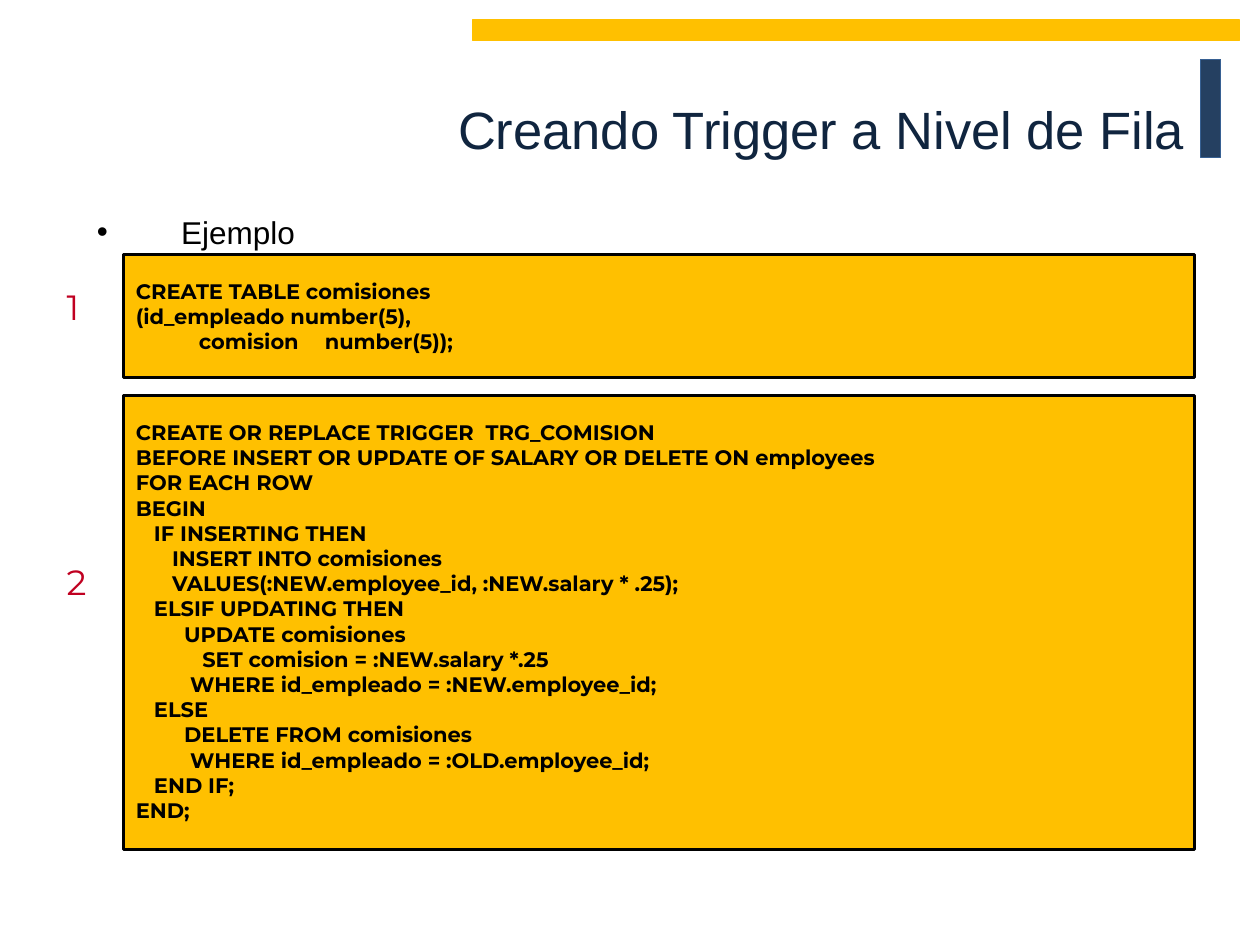
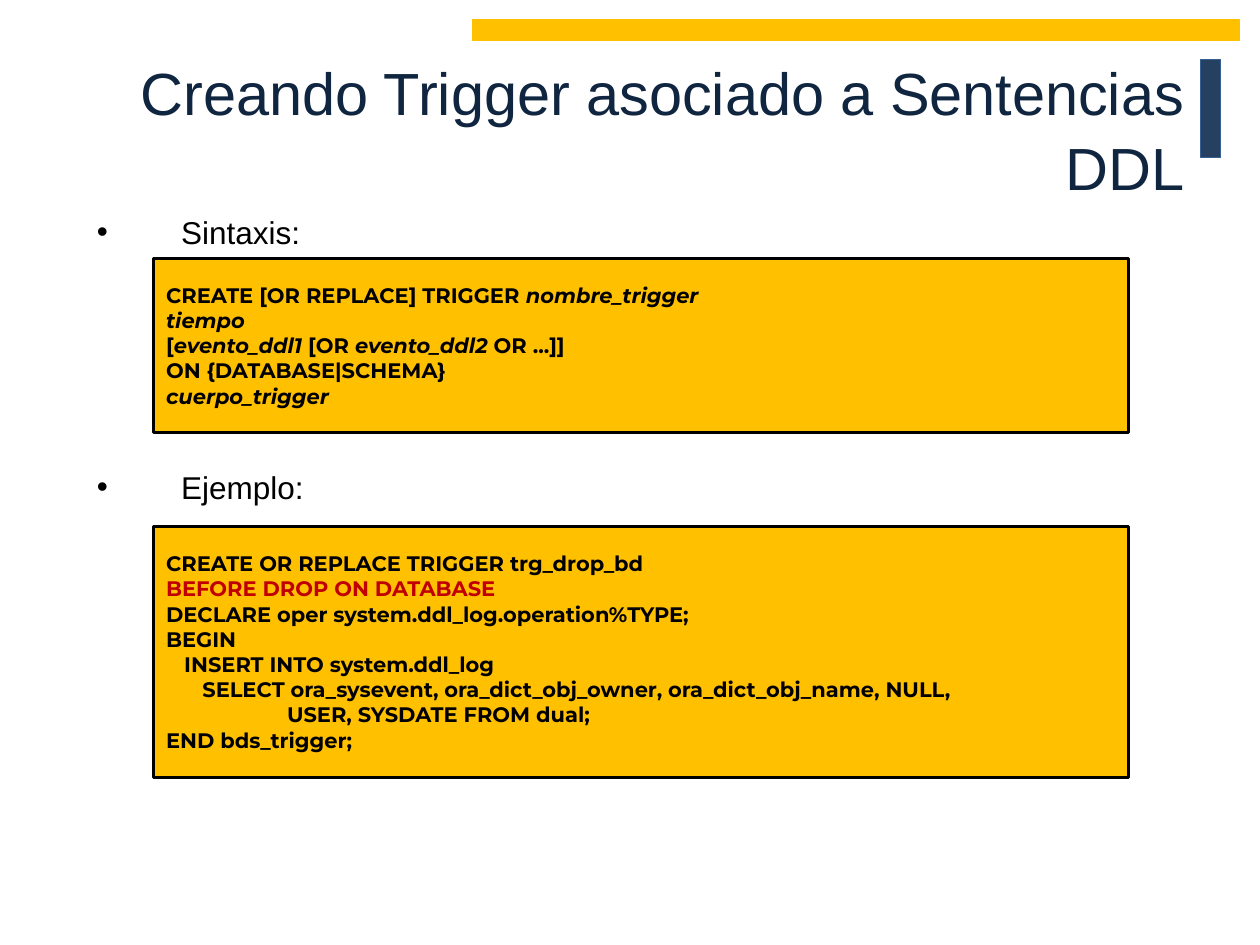
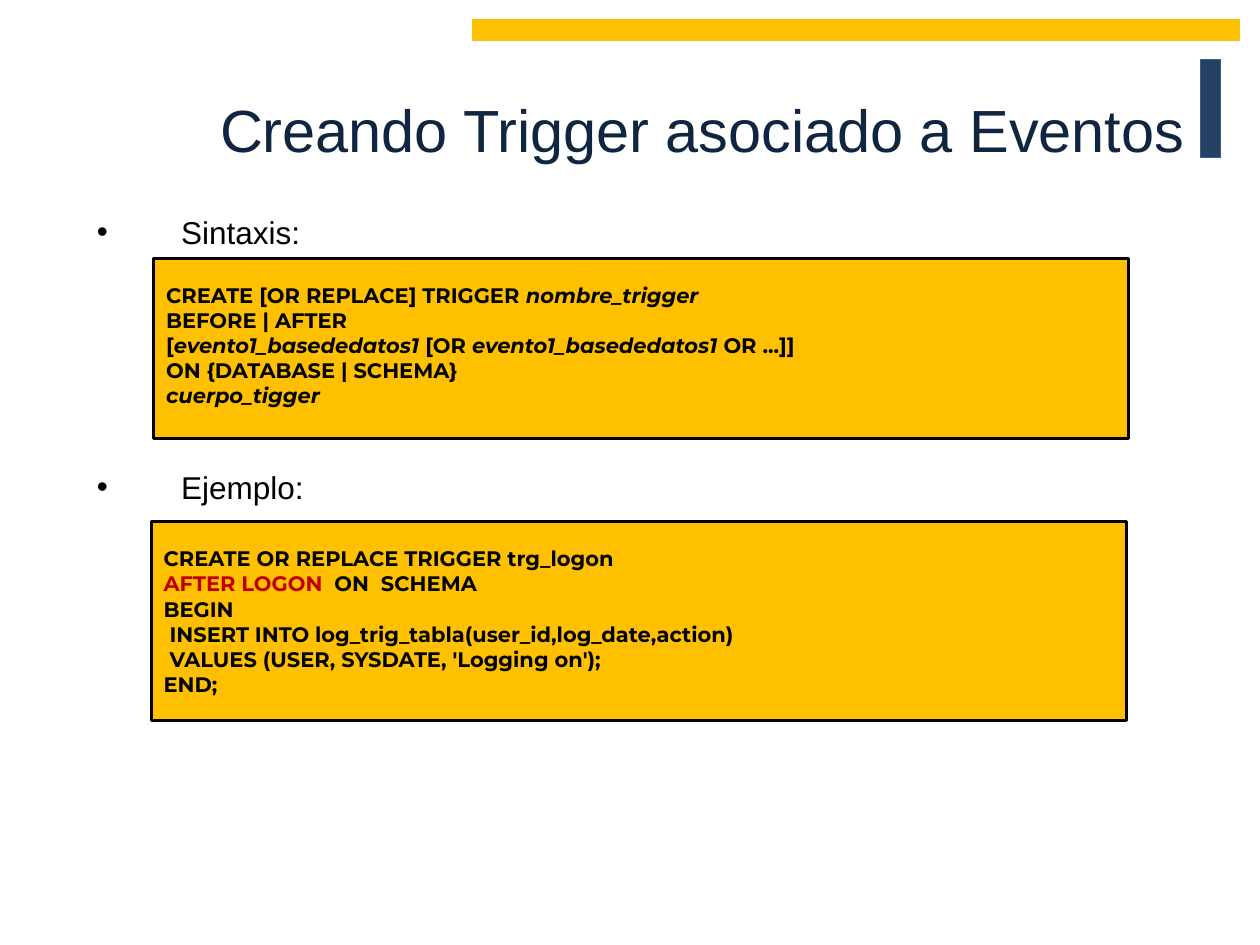
from dataclasses import dataclass
from typing import NamedTuple

from lxml.etree import SubElement
from pptx import Presentation
from pptx.dml.color import RGBColor
from pptx.enum.shapes import MSO_SHAPE
from pptx.enum.text import MSO_ANCHOR, PP_ALIGN
from pptx.oxml.ns import qn
from pptx.util import Emu, Inches, Pt

# Grid: 100 columns by 75 rows
SLIDE_WIDTH, SLIDE_HEIGHT = Inches(10), Inches(7.5)
COLUMN, ROW = SLIDE_WIDTH / 100, SLIDE_HEIGHT / 75

# Colours and fonts
GOLD = RGBColor(0xFF, 0xC0, 0x00)
NAVY = RGBColor(0x25, 0x40, 0x61)
BLUE = RGBColor(0x37, 0x60, 0x92)
TITLE_INK = RGBColor(0x10, 0x25, 0x3F)
BLACK = RGBColor(0x00, 0x00, 0x00)
RED = RGBColor(0xC0, 0x00, 0x00)
CRIMSON = RGBColor(0xC0, 0x00, 0x21)
TEXT_FONT, CODE_FONT = "Arial", "Montserrat"

# Code layout
CODE_TOP = 1.9  # rows above the first line
SPACE_WIDTH = 0.48  # columns per leading space
CODE_TABS = (1, 10.8)  # columns
ITALIC_MARK, RED_MARK = "~", "^"
HANGING = 6.7  # columns between a bullet and its text


class Frame(NamedTuple):
    """Left, top, width and height in columns and rows."""
    left: float
    top: float
    width: float
    height: float

    def lengths(self) -> tuple:
        return (Emu(round(self.left * COLUMN)), Emu(round(self.top * ROW)),
                Emu(round(self.width * COLUMN)), Emu(round(self.height * ROW)))


@dataclass(frozen=True)
class Label:
    text: str
    frame: Frame
    font: str = TEXT_FONT
    size: float = 18
    color: RGBColor = BLACK
    bullet: bool = True


@dataclass(frozen=True)
class CodeBlock:
    frame: Frame
    code: str


@dataclass(frozen=True)
class Lesson:
    title: str
    title_size: float
    labels: tuple
    blocks: tuple


TITLE_FRAME = Frame(9.8, 2.1, 85.2, 16)
ACCENT_BAR = Frame(95.3, 4.7, 1.6, 7.8)
TOP_BAND = Frame(37.5, 1.6, 60.9, 1.6)


def heading(text: str, top: float = 17) -> Label:
    return Label(text, Frame(6.7, top, 87.4, 4.5))


def step_number(text: str, top: float) -> Label:
    return Label(text, Frame(4.3, top, 5, 4.5), CODE_FONT, 20, CRIMSON, False)


SYNTAX_AND_EXAMPLE = (heading("Sintaxis:"), heading("Ejemplo:", top=37.2))

LESSONS = (
    Lesson("Creando Trigger a Nivel de Fila", 30,
           (heading("Ejemplo"), step_number("1", 22.8), step_number("2", 44.6)), (
        CodeBlock(Frame(9.8, 31.4, 85, 36), """\
CREATE OR REPLACE TRIGGER  TRG_COMISION
BEFORE INSERT OR UPDATE OF SALARY OR DELETE ON employees
FOR EACH ROW
BEGIN
   IF INSERTING THEN
      INSERT INTO comisiones
      VALUES(:NEW.employee_id, :NEW.salary * .25);
   ELSIF UPDATING THEN
        UPDATE comisiones
           SET comision = :NEW.salary *.25
         WHERE id_empleado = :NEW.employee_id;
   ELSE
        DELETE FROM comisiones
         WHERE id_empleado = :OLD.employee_id;
   END IF;
END;"""),
        CodeBlock(Frame(9.8, 20.2, 85, 9.8), """\
CREATE TABLE comisiones
(id_empleado number(5),
\tcomision\tnumber(5));"""))),
    Lesson("Creando Trigger asociado a Sentencias DDL", 34, SYNTAX_AND_EXAMPLE, (
        CodeBlock(Frame(12.2, 20.5, 77.4, 13.8), """\
CREATE [OR REPLACE] TRIGGER ~nombre_trigger~
~tiempo~
[~evento_ddl1~ [OR ~evento_ddl2~ OR ...]]
ON {DATABASE|SCHEMA}
~cuerpo_trigger~"""),
        CodeBlock(Frame(12.2, 41.8, 77.4, 19.9), """\
CREATE OR REPLACE TRIGGER trg_drop_bd
^BEFORE DROP ON DATABASE^
DECLARE oper system.ddl_log.operation%TYPE;
BEGIN
   INSERT INTO system.ddl_log
      SELECT ora_sysevent, ora_dict_obj_owner, ora_dict_obj_name, NULL,
                    USER, SYSDATE FROM dual;
END bds_trigger;"""))),
    Lesson("Creando Trigger asociado a Eventos", 34, SYNTAX_AND_EXAMPLE, (
        CodeBlock(Frame(12.2, 20.5, 77.4, 14.3), """\
CREATE [OR REPLACE] TRIGGER ~nombre_trigger~
BEFORE | AFTER
[~evento1_basededatos1 ~[OR ~evento1_basededatos1 ~OR ...]]
ON {DATABASE | SCHEMA}
~cuerpo_tigger~"""),
        CodeBlock(Frame(12, 41.4, 77.4, 15.8), """\
CREATE OR REPLACE TRIGGER trg_logon
^AFTER LOGON^  ON  SCHEMA
BEGIN
 INSERT INTO log_trig_tabla(user_id,log_date,action)
 VALUES (USER, SYSDATE, 'Logging on');
END;"""))),
)


def add_span(para, text: str, *, font: str, size: float, color: RGBColor,
             bold: bool = False, italic: bool = False) -> None:
    span = para.add_run()
    span.text = text
    span.font.name = font
    span.font.size = Pt(size)
    span.font.color.rgb = color
    span.font.bold = bold
    span.font.italic = italic


def set_indent(para, left: float, first: float = 0):
    properties = para._p.get_or_add_pPr()
    properties.set("marL", str(round(left * COLUMN)))
    properties.set("indent", str(round(first * COLUMN)))
    return properties


def add_rectangle(page, frame: Frame, fill: RGBColor, line: RGBColor, weight: float):
    box = page.shapes.add_shape(MSO_SHAPE.RECTANGLE, *frame.lengths())
    box.shadow.inherit = False
    box.fill.solid()
    box.fill.fore_color.rgb = fill
    box.line.color.rgb = line
    box.line.width = Pt(weight)
    return box


def add_text_frame(page, frame: Frame):
    text_frame = page.shapes.add_textbox(*frame.lengths()).text_frame
    text_frame.word_wrap = True
    return text_frame


def add_title(page, text: str, size: float) -> None:
    text_frame = add_text_frame(page, TITLE_FRAME)
    text_frame.vertical_anchor = MSO_ANCHOR.MIDDLE
    para = text_frame.paragraphs[0]
    para.alignment = PP_ALIGN.RIGHT
    para.line_spacing = 1.05
    add_span(para, text, font=TEXT_FONT, size=size, color=TITLE_INK)


def add_label(page, label: Label) -> None:
    para = add_text_frame(page, label.frame).paragraphs[0]
    para.alignment = PP_ALIGN.JUSTIFY
    para.line_spacing = 0.8
    para.space_before = Pt(label.size * 0.2)
    if label.bullet:
        properties = set_indent(para, HANGING, -HANGING)
        SubElement(properties, qn("a:buFont"), typeface=TEXT_FONT)
        SubElement(properties, qn("a:buChar"), char="•")
    add_span(para, label.text, font=label.font, size=label.size, color=label.color)


def add_code_line(para, line: str) -> None:
    """Turn leading spaces into an indent and marks into italic or red spans."""
    text = line.lstrip(" ")
    para.alignment = PP_ALIGN.LEFT
    properties = set_indent(para, (len(line) - len(text)) * SPACE_WIDTH)
    if "\t" in text:
        stops = SubElement(properties, qn("a:tabLst"))
        for stop in CODE_TABS:
            SubElement(stops, qn("a:tab"), pos=str(round(stop * COLUMN)), algn="l")
    for red_index, part in enumerate(text.split(RED_MARK)):
        for italic_index, piece in enumerate(part.split(ITALIC_MARK)):
            if piece:
                add_span(para, piece, font=CODE_FONT, size=12, bold=True,
                         color=RED if red_index % 2 else BLACK,
                         italic=italic_index % 2 == 1)


def add_code_block(page, block: CodeBlock) -> None:
    text_frame = add_rectangle(page, block.frame, GOLD, BLACK, 1.75).text_frame
    text_frame.word_wrap = True
    text_frame.vertical_anchor = MSO_ANCHOR.TOP
    text_frame.margin_top = Emu(round(CODE_TOP * ROW))
    for index, line in enumerate(block.code.split("\n")):
        para = text_frame.add_paragraph() if index else text_frame.paragraphs[0]
        add_code_line(para, line)


def add_lesson(deck, lesson: Lesson) -> None:
    page = deck.slides.add_slide(deck.slide_layouts[6])
    add_rectangle(page, ACCENT_BAR, NAVY, BLUE, 0.75)
    add_rectangle(page, TOP_BAND, GOLD, GOLD, 0.75)
    add_title(page, lesson.title, lesson.title_size)
    for label in lesson.labels:
        add_label(page, label)
    for block in lesson.blocks:
        add_code_block(page, block)


def main() -> None:
    deck = Presentation()
    deck.slide_width, deck.slide_height = SLIDE_WIDTH, SLIDE_HEIGHT
    for lesson in LESSONS:
        add_lesson(deck, lesson)
    deck.save("out.pptx")


if __name__ == "__main__":
    main()
